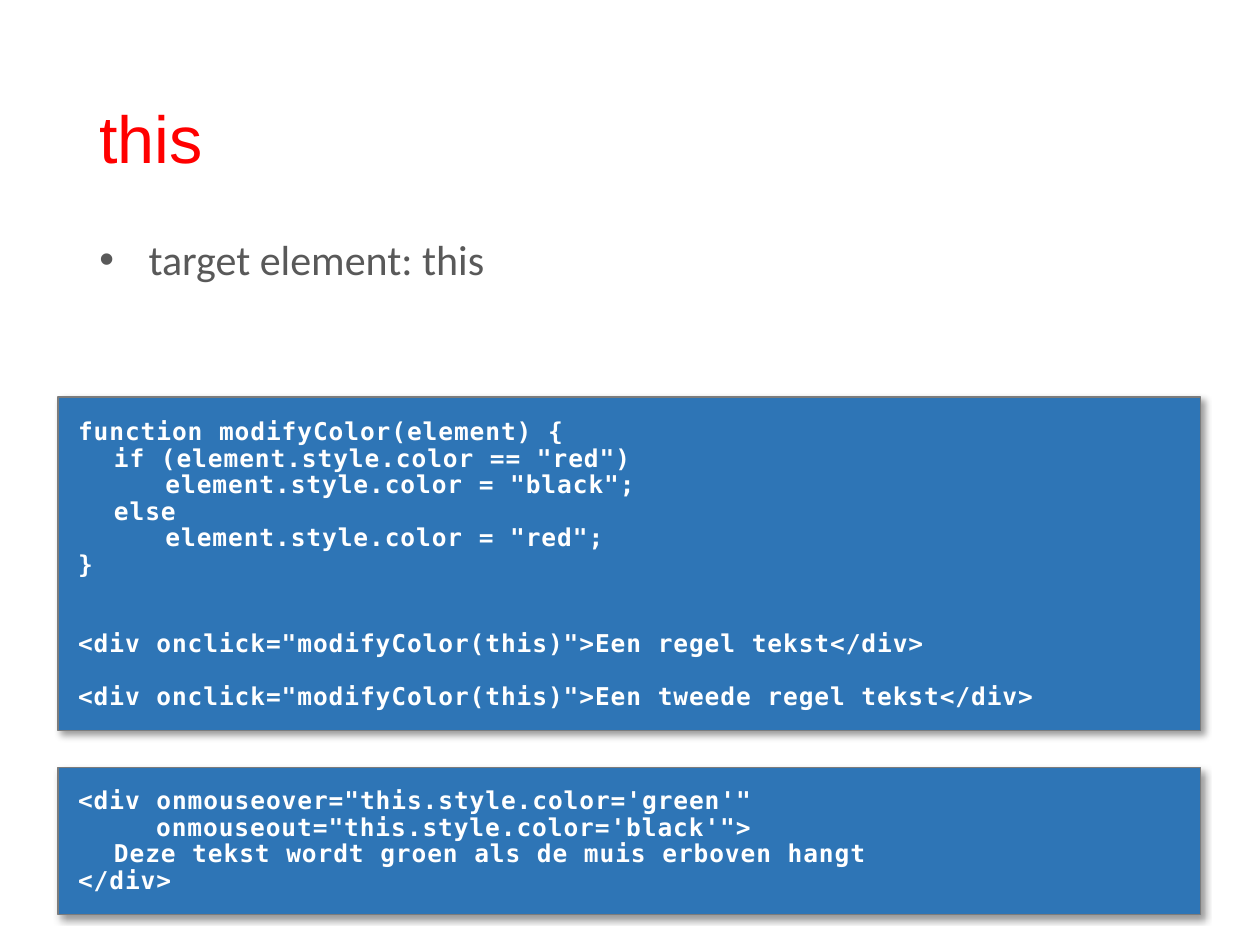
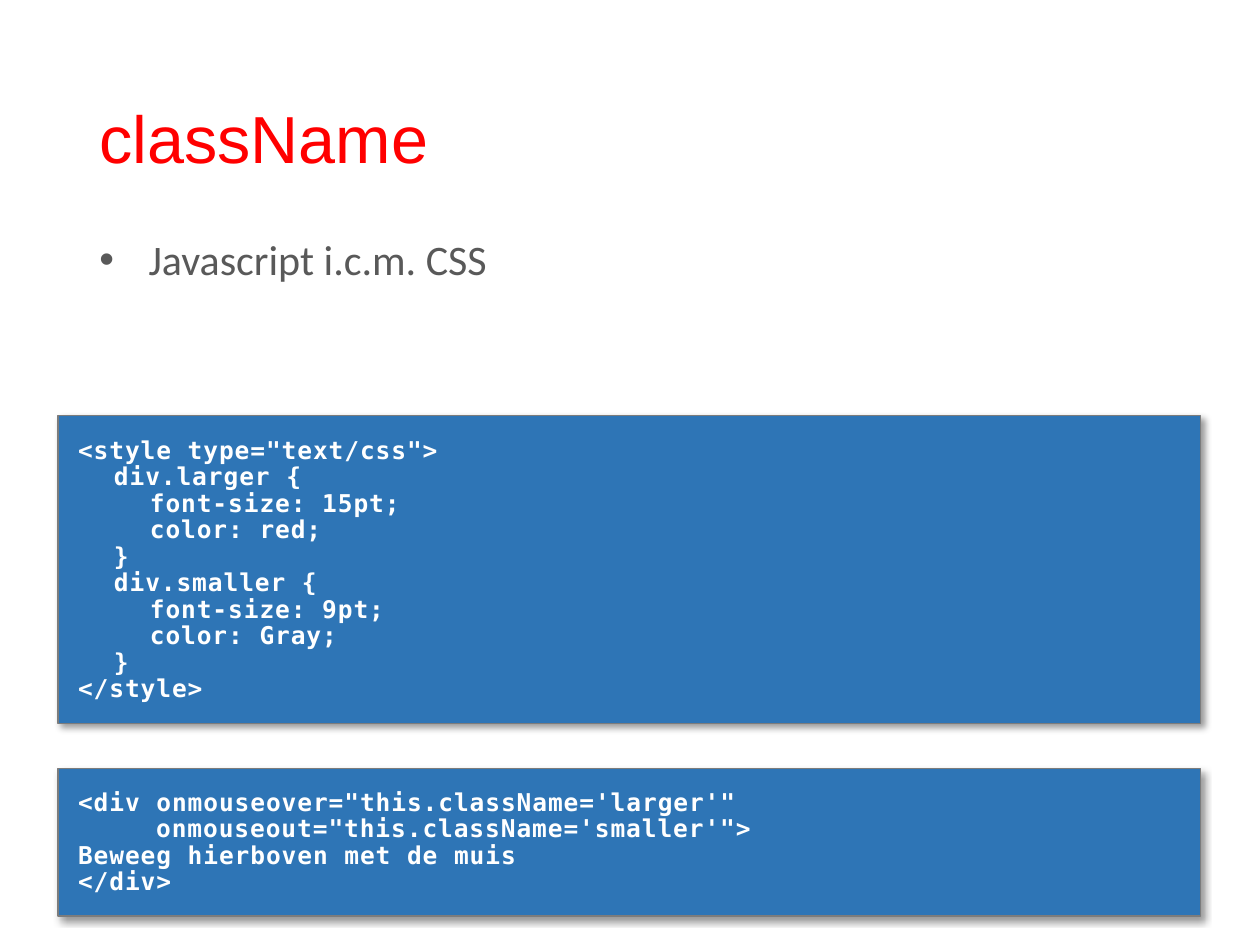
import pptx
import pptx.util
import pptx.dml.color
import pptx.enum.shapes
import pptx.enum.text
import pptx.oxml
import pptx.oxml.ns

Inches, Pt = pptx.util.Inches, pptx.util.Pt
ANCHOR = pptx.enum.text.MSO_ANCHOR

RED, GRAY, BLUE, EDGE, WHITE = "FF0000", "595959", "2E75B6", "7C7C7C", "FFFFFF"
LEFT, WIDE = 0.46, 9.07
TAB, CHAR = 0.285, 0.124    # one code indent and one code letter, in inches
ROW = 15.1                  # height of one code line, in points
DEEP = 2 * TAB + CHAR
ATTR = 5 * CHAR

# Content: each code line is (indent, text) or (indent, text, empty rows above)
SLIDES = [
    {"title": "this", "point": "target element: this", "boxes": [
        (3.15, 2.65, [
            (0, "function modifyColor(element) {"),
            (TAB, 'if (element.style.color == "red")'),
            (DEEP, 'element.style.color = "black";'),
            (TAB, "else"),
            (DEEP, 'element.style.color = "red";'),
            (0, "}"),
            (0, '<div onclick="modifyColor(this)">Een regel tekst</div>', 2),
            (0, '<div onclick="modifyColor(this)">Een tweede regel tekst</div>', 1),
        ]),
        (6.09, 1.17, [
            (0, "<div onmouseover=\"this.style.color='green'\""),
            (ATTR, "onmouseout=\"this.style.color='black'\">"),
            (TAB, "Deze tekst wordt groen als de muis erboven hangt"),
            (0, "</div>"),
        ]),
    ]},
    {"title": "className", "point": "Javascript i.c.m. CSS", "boxes": [
        (3.3, 2.44, [
            (0, '<style type="text/css">'),
            (TAB, "div.larger {"),
            (2 * TAB, "font-size: 15pt;"),
            (2 * TAB, "color: red;"),
            (TAB, "}"),
            (TAB, "div.smaller {"),
            (2 * TAB, "font-size: 9pt;"),
            (2 * TAB, "color: Gray;"),
            (TAB, "}"),
            (0, "</style>"),
        ]),
        (6.1, 1.17, [
            (0, "<div onmouseover=\"this.className='larger'\""),
            (ATTR, "onmouseout=\"this.className='smaller'\">"),
            (0, "Beweeg hierboven met de muis"),
            (0, "</div>"),
        ]),
    ]},
]


def color(code):
    return pptx.dml.color.RGBColor.from_string(code)


def node(tag, **attrs):
    item = pptx.oxml.parse_xml(f"<a:{tag} {pptx.oxml.ns.nsdecls('a')}/>")
    for key, val in attrs.items():
        item.set(key, str(val))
    return item


def write(par, text, font, size, ink, bold=False, track=0,
          indent=0, hang=0, before=0, bullet=None):
    """Fill one paragraph with formatted text."""
    par.alignment = pptx.enum.text.PP_ALIGN.LEFT
    par.line_spacing = 0.9
    par.space_before = Pt(before)
    props = par._p.get_or_add_pPr()
    props.set("marL", str(Inches(indent)))
    props.set("indent", str(Inches(-hang)))
    if bullet:
        props.append(node("buFont", typeface="Arial"))
        props.append(node("buChar", char=bullet))
    run = par.add_run()
    run.text = text
    run.font.name, run.font.size, run.font.bold = font, Pt(size), bold
    run.font.color.rgb = color(ink)
    if track:
        run._r.get_or_add_rPr().set("spc", str(int(track * 100)))


def label(slide, top, high, text, anchor, **style):
    box = slide.shapes.add_textbox(Inches(0.69), Inches(top), Inches(8.62), Inches(high))
    frame = box.text_frame
    frame.word_wrap = True
    frame.vertical_anchor = anchor
    write(frame.paragraphs[0], text, **style)


def shade(shape):
    """Give a soft shadow to the lower right."""
    shape.shadow.inherit = False
    cast = node("outerShdw", blurRad=Pt(4), dist=Pt(3), dir=45 * 60000,
                algn="tl", rotWithShape=0)
    tint = node("srgbClr", val="000000")
    tint.append(node("alpha", val=40000))
    cast.append(tint)
    shape._element.spPr.find(pptx.oxml.ns.qn("a:effectLst")).append(cast)


def panel(slide, top, high, lines):
    """Draw a blue box of code."""
    box = slide.shapes.add_shape(pptx.enum.shapes.MSO_SHAPE.RECTANGLE, Inches(LEFT),
                                 Inches(top), Inches(WIDE), Inches(high))
    box.fill.solid()
    box.fill.fore_color.rgb = color(BLUE)
    box.line.color.rgb = color(EDGE)
    box.line.width = Pt(0.75)
    shade(box)
    frame = box.text_frame
    frame.word_wrap = True
    frame.auto_size = pptx.enum.text.MSO_AUTO_SIZE.SHAPE_TO_FIT_TEXT
    frame.vertical_anchor = ANCHOR.BOTTOM
    for side in ("left", "top", "right", "bottom"):
        setattr(frame, f"margin_{side}", Inches(0.16))
    for num, (indent, text, *gap) in enumerate(lines):
        par = frame.add_paragraph() if num else frame.paragraphs[0]
        write(par, text, font="DejaVu Sans Mono", size=14, ink=WHITE, bold=True,
              track=0.5, indent=indent, before=ROW * sum(gap))


def main():
    deck = pptx.Presentation()
    deck.slide_width, deck.slide_height = Inches(10), Inches(7.5)
    for page in SLIDES:
        slide = deck.slides.add_slide(deck.slide_layouts[6])
        # Title and bullet
        label(slide, 0.4, 1.45, page["title"], ANCHOR.MIDDLE,
              font="Arial", size=38, ink=RED)
        label(slide, 1.85, 2.1, page["point"], ANCHOR.TOP, font="Calibri", size=24,
              ink=GRAY, indent=0.39, hang=0.39, before=10, bullet="•")
        # Code boxes
        for top, high, lines in page["boxes"]:
            panel(slide, top, high, lines)
    deck.save("out.pptx")


if __name__ == "__main__":
    main()
